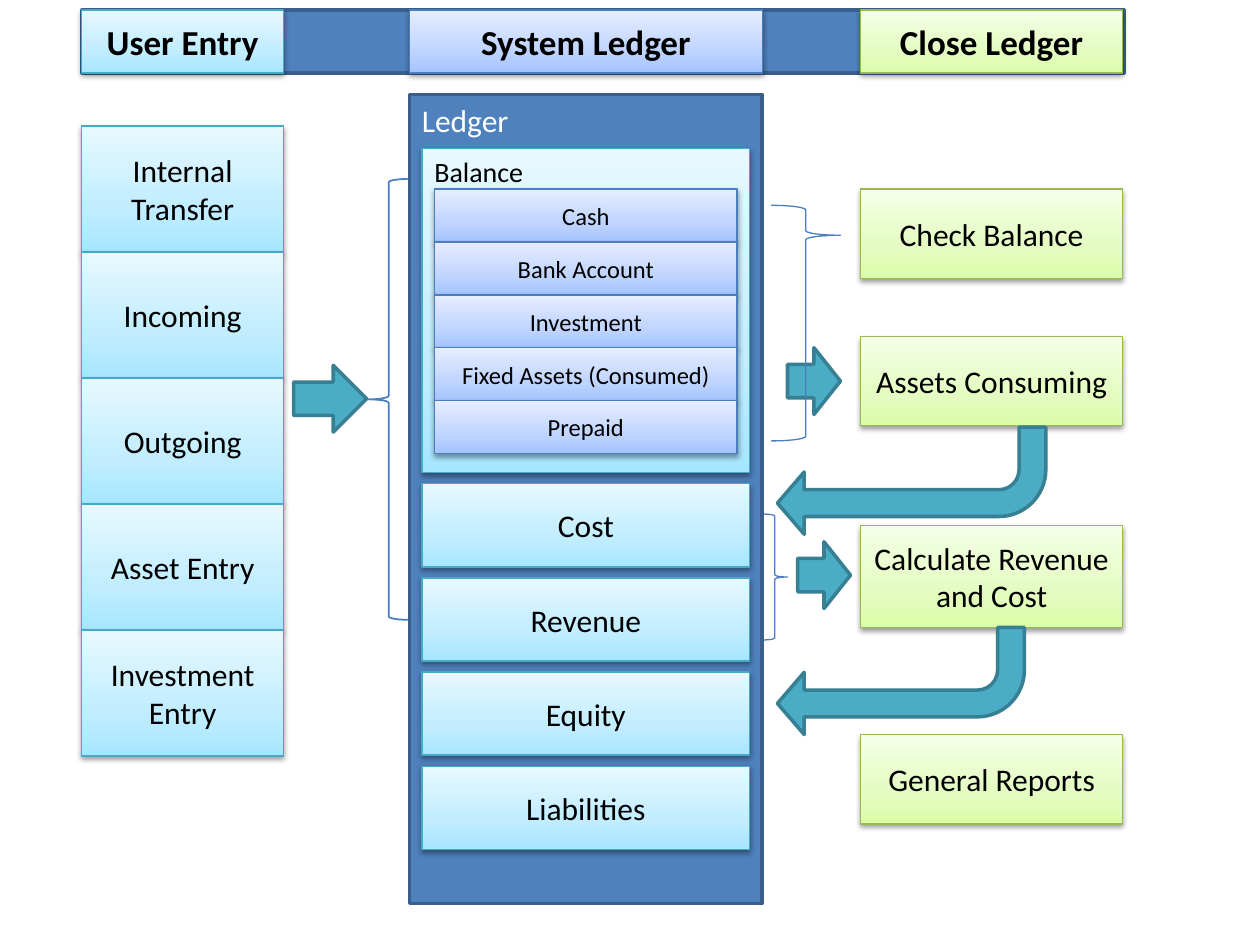
import pptx
import pptx.util
import pptx.dml.color
import pptx.enum.shapes
import pptx.enum.text
import pptx.oxml
import pptx.oxml.ns

Inches = pptx.util.Inches
KIND = pptx.enum.shapes.MSO_SHAPE
ALIGN = pptx.enum.text.PP_ALIGN
ANCHOR = pptx.enum.text.MSO_ANCHOR
COLORS = {
    "panel": "4F81BD", "panel_line": "3A5F8C",
    "arrow": "4BACC6", "arrow_line": "377F92",
    "brace": "4B7EBC", "dark": "000000", "light": "FFFFFF",
    "aqua_line": "46AAC5", "violet_line": "4B7EBC", "green_line": "98B955",
}
GRADIENTS = {
    "aqua": ("A7E6FF", "C1EDFF", "E7F8FF"),
    "violet": ("A4C4FF", "BFD4FF", "E6EEFF"),
    "green": ("DAFDA7", "E4FCC2", "F5FFE7"),
}
STOPS = (0, 35000, 100000)


def rgb(name):
    """Return the named colour."""
    return pptx.dml.color.RGBColor.from_string(COLORS[name])


def add_shape(page, kind, box, line, line_width, fill=None):
    """Add a shape without shadow; a missing fill leaves it open."""
    shape = page.shapes.add_shape(kind, *map(Inches, box))
    shape.shadow.inherit = False
    shape.line.color.rgb = rgb(line)
    shape.line.width = pptx.util.Pt(line_width)
    if fill:
        shape.fill.solid()
        shape.fill.fore_color.rgb = rgb(fill)
    else:
        shape.fill.background()
    return shape


def add_text(shape, text, size, color="dark", bold=False, centred=True):
    """Write one paragraph, centred or at the top left."""
    frame = shape.text_frame
    frame.word_wrap = True
    frame.vertical_anchor = ANCHOR.MIDDLE if centred else ANCHOR.TOP
    para = frame.paragraphs[0]
    para.alignment = ALIGN.CENTER if centred else ALIGN.LEFT
    span = para.add_run()
    span.text = text
    formats = {"name": "Calibri", "size": pptx.util.Pt(size), "bold": bold}
    for name, value in formats.items():
        setattr(span.font, name, value)
    span.font.color.rgb = rgb(color)


def add_card(page, box, text, palette, size=18, **text_options):
    """Add a labelled rectangle with a gradient and a soft shadow."""
    card = add_shape(page, KIND.RECTANGLE, box, palette + "_line", 0.75)
    card.fill.gradient()
    card.fill.gradient_angle = 90
    namespace = pptx.oxml.ns.nsdecls("a")
    properties = card._element.spPr
    stop_list = properties.find(".//" + pptx.oxml.ns.qn("a:gsLst"))
    for stop in list(stop_list):
        stop_list.remove(stop)
    for position, color in zip(STOPS, GRADIENTS[palette]):
        stop_list.append(pptx.oxml.parse_xml(
            f'<a:gs {namespace} pos="{position}"><a:srgbClr val="{color}"/></a:gs>'))
    effects = properties.find(pptx.oxml.ns.qn("a:effectLst"))
    effects.append(pptx.oxml.parse_xml(
        f'<a:outerShdw {namespace} blurRad="40000" dist="20000" dir="5400000" '
        'rotWithShape="0"><a:srgbClr val="000000"><a:alpha val="38000"/>'
        '</a:srgbClr></a:outerShdw>'))
    add_text(card, text, size, **text_options)


def add_stack(page, box, labels, step, palette, size=18):
    """Add equal cards downwards; box is that of the first card."""
    left, top, width, height = box
    for index, label in enumerate(labels):
        add_card(page, (left, top + index * step, width, height), label, palette, size)


def add_header(page, box):
    """Add the bar with the three column headings."""
    left, top, width, height = box
    add_shape(page, KIND.RECTANGLE, box, "panel_line", 2, "panel")
    headings = (("User Entry", 0, 1.6, "aqua"),
                ("System Ledger", 2.6, 2.8, "violet"),
                ("Close Ledger", 6.18, 2.08, "green"))
    for text, offset, card_width, palette in headings:
        add_card(page, (left + offset, top, card_width, height), text, palette, 20, bold=True)


def add_ledger(page, box):
    """Add the ledger panel with its balance group and account cards."""
    left, top, width, height = box
    panel = add_shape(page, KIND.RECTANGLE, box, "panel_line", 2, "panel")
    add_text(panel, "Ledger", 18, "light", centred=False)
    inner_left, inner_width = left + 0.1, width - 0.2
    add_card(page, (inner_left, top + 0.43, inner_width, 2.57), "Balance", "aqua", 16,
             centred=False)
    add_stack(page, (inner_left, top + 3.09, inner_width, 0.66),
              ("Cost", "Revenue", "Equity", "Liabilities"), 0.747, "aqua")
    add_stack(page, (left + 0.2, top + 0.75, width - 0.4, 0.42),
              ("Cash", "Bank Account", "Investment", "Fixed Assets (Consumed)", "Prepaid"),
              0.42, "violet", 14)


def add_closing(page, box):
    """Add the closing steps down the right column."""
    left, top, width, height = box
    steps = (("Check Balance", 0, 0.71), ("Assets Consuming", 1.17, 0.71),
             ("Calculate Revenue and Cost", 2.67, 0.81), ("General Reports", 4.33, 0.71))
    for text, offset, card_height in steps:
        add_card(page, (left, top + offset, width, card_height), text, "green")


def add_flow(page):
    """Add the block arrows, return arrows and braces between columns."""
    for box in ((2.33, 2.9, 0.58, 0.53), (6.25, 2.76, 0.42, 0.53), (6.33, 4.3, 0.42, 0.53)):
        add_shape(page, KIND.RIGHT_ARROW, box, "arrow_line", 2, "arrow")
    for box in ((6.17, 3.39, 2.13, 0.85), (6.17, 4.98, 1.96, 0.85)):
        arrow = add_shape(page, KIND.BENT_ARROW, box, "arrow_line", 2, "arrow")
        arrow.rotation = 180
        for index, value in enumerate((0.25, 0.291, 0.25, 0.438)):
            arrow.adjustments[index] = value
    add_shape(page, KIND.LEFT_BRACE, (2.92, 1.42, 0.33, 3.5), "brace", 1)
    add_shape(page, KIND.RIGHT_BRACE, (6.05, 4.08, 0.2, 1), "brace", 0.75)
    brace = add_shape(page, KIND.RIGHT_BRACE, (6.12, 1.63, 0.55, 1.87), "brace", 0.75)
    brace.adjustments[0] = 0.066
    brace.adjustments[1] = 0.127


deck = pptx.Presentation()
deck.slide_width, deck.slide_height = Inches(10), Inches(7.5)
page = deck.slides.add_slide(deck.slide_layouts[6])
add_header(page, (0.65, 0.08, 8.27, 0.5))
add_closing(page, (6.83, 1.5, 2.08, 5.04))
add_flow(page)
add_stack(page, (0.65, 1, 1.6, 1),
          ("Internal Transfer", "Incoming", "Outgoing", "Asset Entry", "Investment Entry"),
          1, "aqua")
add_ledger(page, (3.25, 0.75, 2.8, 6.42))
deck.save("out.pptx")
